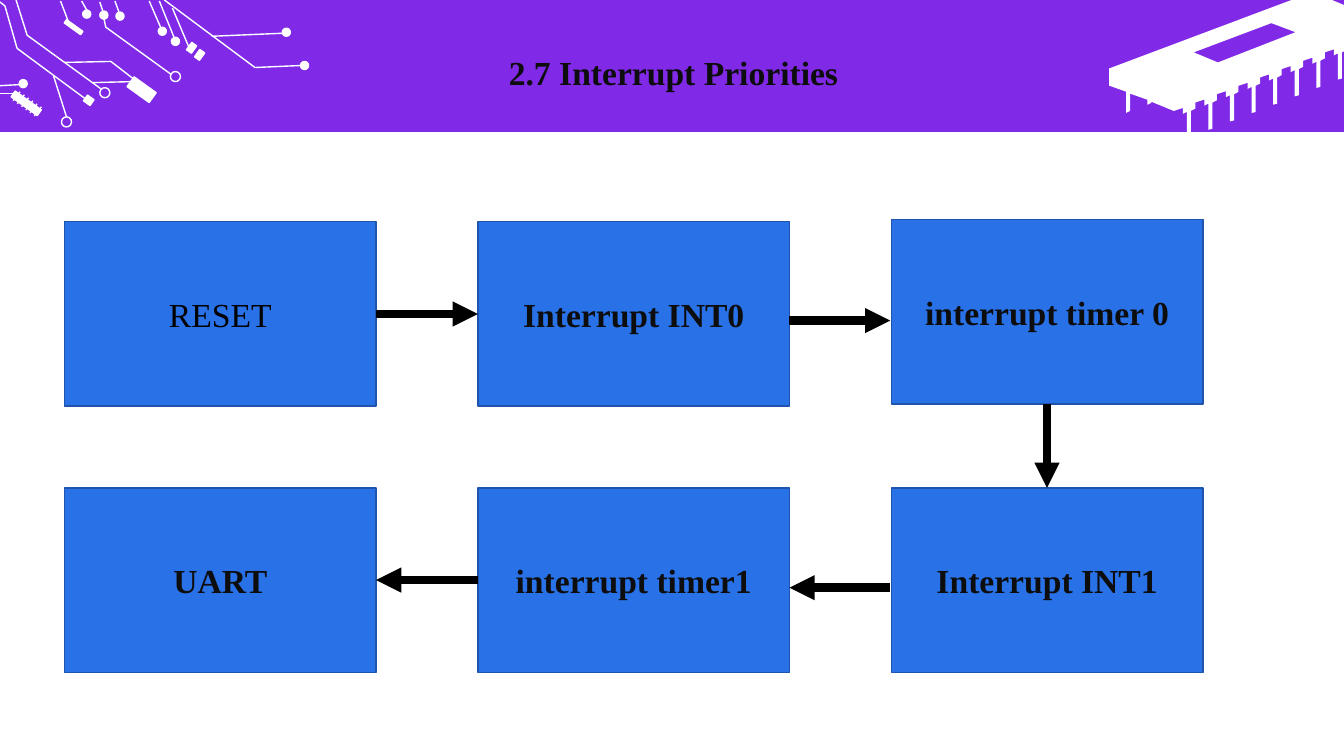
"""Build the slide on interrupt priorities, measured on a grid of 13.33 columns by 7.5 rows."""
import dataclasses
import typing

import lxml.etree
import pptx
import pptx.dml.color
import pptx.enum.shapes
import pptx.enum.text
import pptx.oxml.ns
import pptx.util

PURPLE = pptx.dml.color.RGBColor(0x80, 0x29, 0xE7)
BLUE = pptx.dml.color.RGBColor(0x29, 0x71, 0xE7)
DARK_BLUE = pptx.dml.color.RGBColor(0x1E, 0x54, 0xAB)
WHITE = pptx.dml.color.RGBColor(0xFF, 0xFF, 0xFF)
BLACK = pptx.dml.color.RGBColor(0x00, 0x00, 0x00)
INK = pptx.dml.color.RGBColor(0x0D, 0x0D, 0x0D)

COLUMNS, ROWS = 13.33, 7.5
BOX_WIDTH, BOX_HEIGHT = 3.09, 1.83
BOX_LEFT, BOX_TOP = 0.64, 2.2
COLUMN_STEP, ROW_STEP = 4.1, 2.64
TILT = 35.7
TOP, LEFT, BOTTOM, RIGHT = range(4)
RECTANGLE = pptx.enum.shapes.MSO_SHAPE.RECTANGLE
OVAL = pptx.enum.shapes.MSO_SHAPE.OVAL
MIDDLE = pptx.enum.text.MSO_ANCHOR.MIDDLE
CENTER = pptx.enum.text.PP_ALIGN.CENTER

Color = pptx.dml.color.RGBColor
Point = tuple[float, float]


@dataclasses.dataclass(frozen=True)
class Step:
    """An interrupt in its column and row of boxes."""
    text: str
    column: int
    row: int
    color: Color = INK
    bold: bool = True
    lift: float = 0


@dataclasses.dataclass(frozen=True)
class Arrow:
    """An arrow between two boxes, joined where it meets the middle of their sides."""
    source: str
    target: str
    start: Point
    end: Point
    sides: typing.Optional[tuple[int, int]] = None


@dataclasses.dataclass(frozen=True)
class Part:
    """A small component or pad of the circuit."""
    left: float
    top: float
    width: float
    height: float
    kind: typing.Any = OVAL
    fill: typing.Optional[Color] = WHITE


STEPS = [
    Step("RESET", 0, 0, BLACK, False),
    Step("Interrupt INT0", 1, 0),
    Step("interrupt timer 0", 2, 0, lift=0.02),
    Step("interrupt timer1", 1, 1),
    Step("UART", 0, 1),
    Step("Interrupt INT1", 2, 1),
]
ARROWS = [
    Arrow("RESET", "Interrupt INT0", (3.73, 3.11), (4.73, 3.11), (RIGHT, LEFT)),
    Arrow("Interrupt INT0", "interrupt timer 0", (7.83, 3.18), (8.83, 3.18)),
    Arrow("Interrupt INT1", "interrupt timer1", (8.83, 5.83), (7.83, 5.83)),
    Arrow("interrupt timer1", "UART", (4.74, 5.76), (3.74, 5.76), (LEFT, RIGHT)),
    Arrow("interrupt timer 0", "Interrupt INT1", (10.38, 4.01), (10.38, 4.84), (BOTTOM, TOP)),
]
PADS = [(2.98, 0.61), (2.8, 0.28), (0.82, 0.1), (0.99, 0.11), (1.15, 0.12),
        (0.19, 0.79), (1.7, 0.37), (1.57, 0.27)]
RINGS = [(1.69, 0.71), (0.99, 0.87), (0.61, 1.16)]
CHIPS = [(1.27, 0.83, 0.27, 0.12), (0.63, 0.25, 0.2, 0.04), (0.84, 0.96, 0.08, 0.07),
         (1.87, 0.43, 0.06, 0.09), (1.95, 0.5, 0.06, 0.09), (0.1, 0.99, 0.32, 0.07)]
PARTS = ([Part(*chip, RECTANGLE) for chip in CHIPS]
         + [Part(*pad, 0.08, 0.08) for pad in PADS]
         + [Part(*ring, 0.1, 0.1, fill=None) for ring in RINGS])
PINS = [((0.13 + 0.042 * pin, 1 + 0.03 * pin), (0.2 + 0.042 * pin, 0.91 + 0.03 * pin))
        for pin in range(6)]
WIRES = PINS + [
    ((0.6, 0.01), (0.68, 0.22)), ((0.81, 0.01), (0.86, 0.1)), ((0.99, 0.02), (1.02, 0.11)),
    ((1.14, 0.01), (1.18, 0.12)), ((1.48, 0.01), (1.61, 0.31)), ((1.58, 0.01), (1.73, 0.38)),
    ((2.1, 0.36), (2.8, 0.33)), ((1.71, 0.08), (1.87, 0.46)), ((0, 0.85), (0.19, 0.84)),
    ((0, 0.93), (0.14, 0.93)), ((0.53, 0.75), (0.66, 1.16)), ((0.92, 0.82), (1.3, 0.81)),
]
TRACES = [
    [(1.63, 0), (2.53, 0.67), (2.99, 0.65)],
    [(0.16, 0), (0.27, 0.35), (1, 0.88)],
    [(0, 0.02), (0.05, 0.06), (0.17, 0.48), (0.86, 0.99)],
    [(0.64, 0.62), (1.1, 0.61), (1.32, 0.78)],
    [(1.03, 0.18), (1.05, 0.27), (1.7, 0.74)],
]
CHIP_WINDOW = [(12.61, 0.23), (11.84, 0.52), (12.08, 0.62), (12.85, 0.32)]
LEG_OUTLINE = [(0, 0), (0, 0.26), (-0.04, 0.27), (-0.04, 0.01),
               (-0.08, 0.03), (-0.08, -0.03), (-0.17, 0), (-0.17, 0.06)]
LEGS = [(13.31 - 0.214 * leg + x, 0.52 + 0.083 * leg + y)
        for leg in range(8) for x, y in LEG_OUTLINE]
CHIP_BODY = [(12.81, 0), (13.21, 0), (13.33, 0.05), (13.33, 0.51), *LEGS[:-1],
             (11.42, 1.01), (11.42, 1.02), (11.38, 1.04), (11.38, 0.99), (11.21, 0.93),
             (11.21, 1.1), (11.17, 1.12), (11.17, 0.91), (11, 0.85), (11, 0.68)]

deck = pptx.Presentation()
deck.slide_width, deck.slide_height = pptx.util.Inches(COLUMNS), pptx.util.Inches(ROWS)
page = deck.slides.add_slide(deck.slide_layouts[5])


def place(x: float, y: float) -> tuple[int, int]:
    """Turn columns and rows into slide lengths."""
    return round(deck.slide_width * x / COLUMNS), round(deck.slide_height * y / ROWS)


def apply(target: typing.Any, values: dict[str, typing.Any]) -> None:
    """Set each format value on the target."""
    for name, value in values.items():
        setattr(target, name, value)


def paint(shape: typing.Any, fill: typing.Optional[Color], line: typing.Optional[Color]) -> None:
    """Give a shape its fill and outline, without a shadow."""
    shape.shadow.inherit = False
    for color, face in ((fill, shape.fill), (line, shape.line.fill)):
        if color is None:
            face.background()
        else:
            face.solid()
            face.fore_color.rgb = color
    if line is not None:
        shape.line.width = pptx.util.Pt(1)


def write(shape: typing.Any, text: str, color: Color, bold: bool) -> typing.Any:
    """Write one centred paragraph and return it."""
    apply(shape.text_frame, {"vertical_anchor": MIDDLE, "word_wrap": True,
                             "auto_size": pptx.enum.text.MSO_AUTO_SIZE.NONE})
    para = shape.text_frame.paragraphs[0]
    para.alignment = CENTER
    span = para.add_run()
    span.text = text
    apply(span.font, {"name": "Times New Roman", "size": pptx.util.Pt(24), "bold": bold})
    span.font.color.rgb = color
    return para


def draw_outline(contours: list[list[Point]], closed: bool) -> typing.Any:
    """Draw one freeform out of contours."""
    builder = page.shapes.build_freeform(*place(*contours[0][0]))
    for number, contour in enumerate(contours):
        if number:
            builder.move_to(*place(*contour[0]))
        builder.add_line_segments([place(*point) for point in contour[1:]], close=closed)
    return builder.convert_to_shape()


def draw_line(start: Point, end: Point, color: Color, width: float) -> typing.Any:
    """Draw a straight connector without a shadow."""
    line = page.shapes.add_connector(pptx.enum.shapes.MSO_CONNECTOR.STRAIGHT,
                                     *place(*start), *place(*end))
    line.line.color.rgb = color
    line.line.width = pptx.util.Pt(width)
    lxml.etree.SubElement(line.element.spPr, pptx.oxml.ns.qn("a:effectLst"))
    return line


def draw_part(part: Part) -> None:
    """Draw a tilted part of the circuit."""
    shape = page.shapes.add_shape(part.kind, *place(part.left, part.top),
                                  *place(part.width, part.height))
    shape.rotation = TILT
    paint(shape, part.fill, WHITE)


def draw_header() -> None:
    """Draw the band with its circuit, chip and title."""
    band = page.shapes.add_shape(RECTANGLE, 0, 0, *place(COLUMNS, 1.31))
    paint(band, PURPLE, None)
    paint(draw_outline([CHIP_WINDOW, CHIP_BODY], True), WHITE, None)
    for part in PARTS:
        draw_part(part)
    for start, end in WIRES:
        draw_line(start, end, WHITE, 1)
    for trace in TRACES:
        paint(draw_outline([trace], False), None, WHITE)
    title = page.shapes.title
    page.shapes.element.append(title.element)
    apply(title, dict(zip(("left", "top", "width", "height"),
                          place(0.35, 0.3) + place(12.66, 0.79))))
    para = write(title, "2.7 Interrupt Priorities", INK, True)
    apply(para, {"line_spacing": 1.1, "space_before": pptx.util.Pt(10)})


def draw_step(step: Step) -> typing.Any:
    """Draw the box of one interrupt."""
    box = page.shapes.add_shape(
        RECTANGLE, *place(BOX_LEFT + COLUMN_STEP * step.column,
                          BOX_TOP + ROW_STEP * step.row - step.lift),
        *place(BOX_WIDTH, BOX_HEIGHT))
    paint(box, BLUE, DARK_BLUE)
    write(box, step.text, step.color, step.bold)
    return box


def draw_arrow(arrow: Arrow, boxes: dict[str, typing.Any]) -> None:
    """Draw an arrow and join it to its boxes."""
    line = draw_line(arrow.start, arrow.end, BLACK, 6)
    lxml.etree.SubElement(line.line._get_or_add_ln(), pptx.oxml.ns.qn("a:tailEnd"), type="triangle")
    if arrow.sides:
        line.begin_connect(boxes[arrow.source], arrow.sides[0])
        line.end_connect(boxes[arrow.target], arrow.sides[1])


def main() -> None:
    """Draw the slide and save it."""
    draw_header()
    boxes = {step.text: draw_step(step) for step in STEPS}
    for arrow in ARROWS:
        draw_arrow(arrow, boxes)
    deck.save("out.pptx")


if __name__ == "__main__":
    main()
